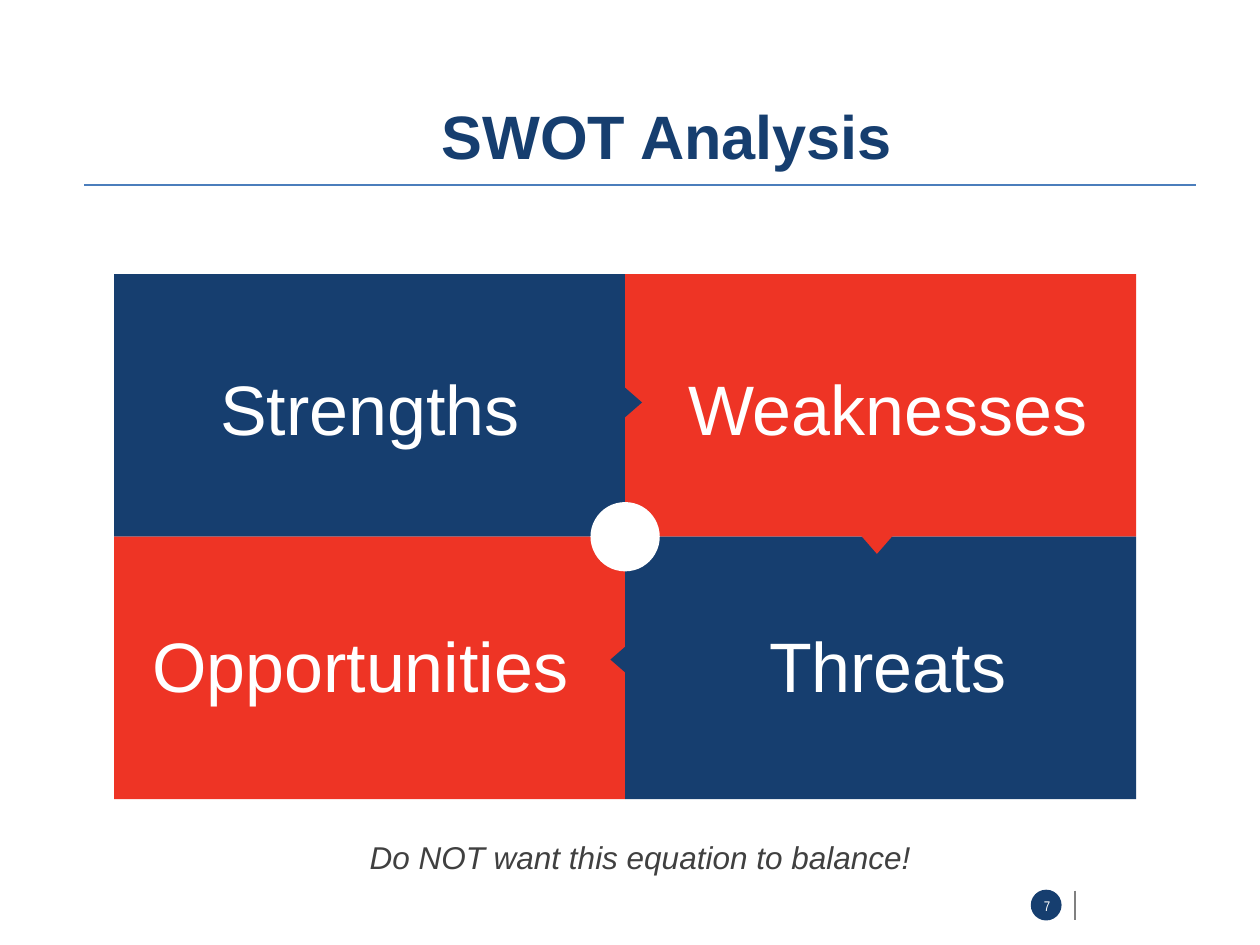
"""Build a SWOT analysis slide with four coloured quadrants."""
from lxml import etree
from pptx import Presentation
from pptx import util as u
from pptx.dml.color import RGBColor
from pptx.enum import shapes, text
from pptx.oxml import ns

COLORS = {"navy": "163E6F", "red": "EE3425", "white": "FFFFFF",
          "dark": "404040", "gray": "808080", "blue": "4B7EBC"}
SHAPE = shapes.MSO_SHAPE


class SlideStyle:
    """Hold the style and the current slide."""

    def __init__(self, page):
        self.page = page
        self.frame = {"auto_size": text.MSO_AUTO_SIZE.NONE,
                      "vertical_anchor": text.MSO_ANCHOR.TOP,
                      "margin_left": u.Pt(7.2), "margin_right": u.Pt(7.2),
                      "margin_top": u.Pt(3.6), "margin_bottom": u.Pt(3.6)}

    def apply(self, target, values):
        for name, value in values.items():
            setattr(target, name, value)

    def color(self, name):
        return RGBColor.from_string(COLORS[name])

    def fill_text(self, box, words, color, font, frame=None, layout=None):
        self.apply(box.text_frame, {**self.frame, "word_wrap": True, **(frame or {})})
        para = box.text_frame.paragraphs[0]
        self.apply(para, {"alignment": text.PP_ALIGN.CENTER, **(layout or {})})
        span = para.add_run()
        span.text = words
        self.apply(span.font, {"name": "Arial", **font})
        span.font.color.rgb = self.color(color)
        return para

    def placeholder(self, index, place, words, color, font, frame=None, layout=None):
        box = self.page.placeholders[index]
        self.apply(box, dict(zip(("left", "top", "width", "height"), map(u.Pt, place))))
        return self.fill_text(box, words, color, font, frame, layout)

    def caption(self, place, words, color, font, layout):
        para = self.placeholder(1, place, words, color, font, layout=layout)
        settings = para._p.get_or_add_pPr()
        settings.set("marL", "0")
        settings.set("indent", "0")
        etree.SubElement(settings, ns.qn("a:buNone"))

    def label(self, place, words, color, font, frame=None, layout=None):
        box = self.page.shapes.add_textbox(*map(u.Pt, place))
        self.fill_text(box, words, color, font, frame, layout)

    def shape(self, kind, place, color, rotation=0):
        box = self.page.shapes.add_shape(kind, *map(u.Pt, place))
        box.shadow.inherit = False
        box.rotation = rotation
        box.fill.solid()
        box.fill.fore_color.rgb = self.color(color)
        box.line.fill.background()

    def pointer(self, center_x, center_y, color, rotation):
        width, height = 21.6, 12.4
        place = (center_x - width / 2, center_y - height / 2, width, height)
        self.shape(SHAPE.ISOSCELES_TRIANGLE, place, color, rotation)

    def line(self, ends, color, width):
        rule = self.page.shapes.add_connector(shapes.MSO_CONNECTOR.STRAIGHT, *map(u.Pt, ends))
        rule.line.color.rgb = self.color(color)
        rule.line.width = u.Pt(width)
        etree.SubElement(rule._element.spPr, ns.qn("a:effectLst"))


def main():
    deck = Presentation()
    deck.slide_width, deck.slide_height = u.Pt(720), u.Pt(540)
    slide = SlideStyle(deck.slides.add_slide(deck.slide_layouts[1]))

    slide.placeholder(0, (42.5, 49, 677.5, 73.4), "SWOT Analysis", "navy",
                      {"size": u.Pt(35), "bold": True}, {"margin_top": u.Pt(7.2)})
    slide.caption((59.8, 468.7, 612, 51.1), "Do NOT want this equation to balance!", "dark",
                  {"size": u.Pt(18), "italic": True},
                  {"line_spacing": 1.3, "space_before": u.Pt(0), "space_after": u.Pt(12)})
    slide.line((48.2, 105.8, 683.3, 105.8), "blue", 0.75)

    left, top, width, height = 65.2, 156.7, 292, 150
    middle_x, middle_y = left + width, top + height
    quadrants = [("Strengths", "navy", 195), ("Weaknesses", "red", 250),
                 ("Opportunities ", "red", 281), ("Threats", "navy", 155)]
    for index, (words, color, label_width) in enumerate(quadrants):
        row, column = divmod(index, 2)
        slide.shape(SHAPE.RECTANGLE, (left + column * width, top + row * height, width, height), color)
        center = 211.4 + column * 295.8
        slide.label((center - label_width / 2, 201.6 + row * 146.9, label_width, 55.4),
                    words, "white", {"size": u.Pt(40)},
                    {"word_wrap": False, "margin_top": u.Pt(7.2)})

    slide.pointer(360.7, 230, "navy", 90)
    slide.pointer(501.1, 310.3, "red", 180)
    slide.pointer(355, 376.9, "navy", 270)
    hub = 39.6
    slide.shape(SHAPE.OVAL, (middle_x - hub / 2, middle_y - hub / 2, hub, hub), "white")

    slide.shape(SHAPE.OVAL, (589, 508.4, 17.6, 17.6), "navy")
    slide.label((586.1, 511.9, 24.5, 18), "7", "white",
                {"name": "Arial Narrow", "size": u.Pt(8)}, layout={"line_spacing": 0.7})
    slide.line((614.2, 509, 614.2, 525.6), "gray", 1)
    deck.save("out.pptx")


if __name__ == "__main__":
    main()
